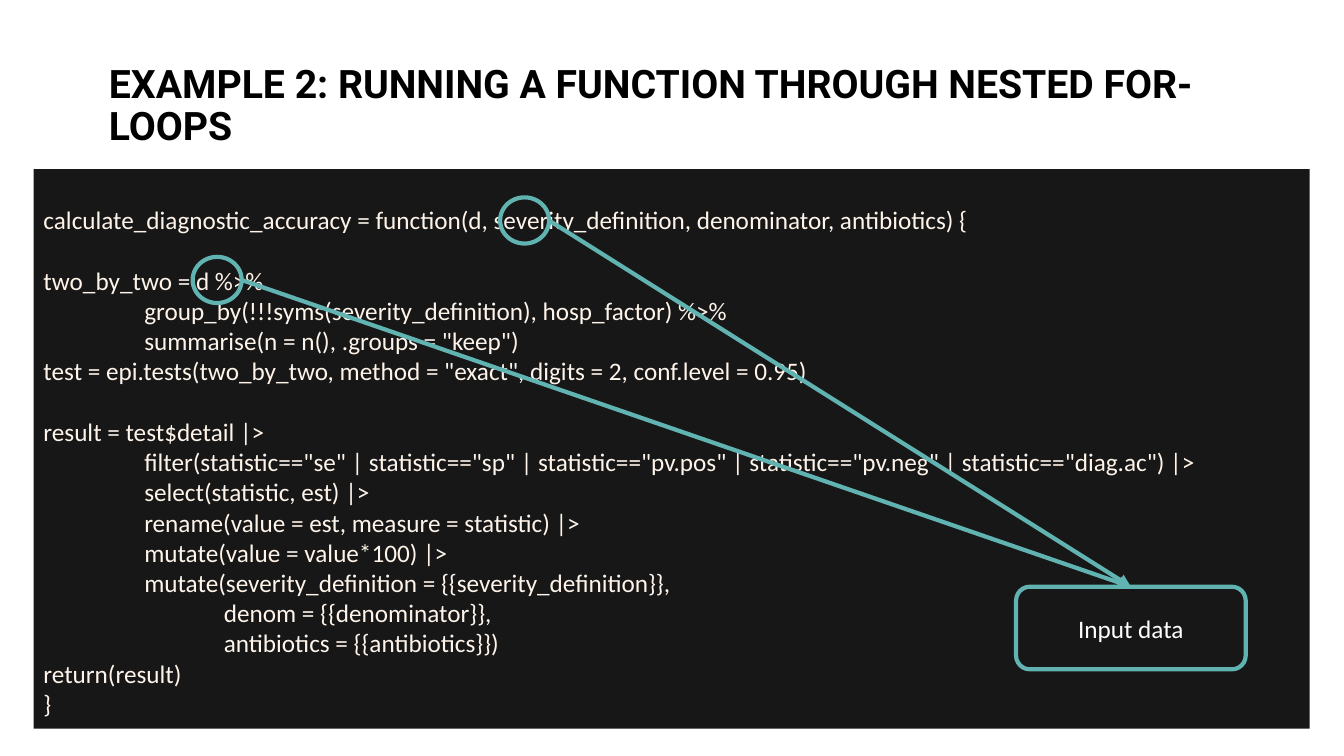
from lxml.etree import SubElement
from pptx import Presentation
from pptx.dml.color import RGBColor
from pptx.enum.shapes import MSO_CONNECTOR, MSO_SHAPE
from pptx.enum.text import MSO_ANCHOR, PP_ALIGN
from pptx.oxml.ns import qn
from pptx.util import Pt

BLACK = RGBColor(0x00, 0x00, 0x00)
WHITE = RGBColor(0xFF, 0xFF, 0xFF)
PANEL = RGBColor(0x18, 0x17, 0x17)
CREAM = RGBColor(0xFE, 0xF4, 0xEA)
TEAL = RGBColor(0x61, 0xB3, 0xB2)

LINE_HEIGHT = 21.6
CODE_INDENT = 72
TITLE = "EXAMPLE 2: RUNNING A FUNCTION THROUGH NESTED FOR-LOOPS"
CODE_BLOCKS = [
    ["calculate_diagnostic_accuracy = function(d, severity_definition, denominator, antibiotics) {"],
    [
        "two_by_two = d %>%",
        "\tgroup_by(!!!syms(severity_definition), hosp_factor) %>%",
        '\tsummarise(n = n(), .groups = "keep")',
        'test = epi.tests(two_by_two, method = "exact", digits = 2, conf.level = 0.95)',
    ],
    [
        "result = test$detail |>",
        '\tfilter(statistic=="se" | statistic=="sp" | statistic=="pv.pos" | statistic=="pv.neg" | statistic=="diag.ac") |>',
        "\tselect(statistic, est) |>",
        "\trename(value = est, measure = statistic) |>",
        "\tmutate(value = value*100) |>",
        "\tmutate(severity_definition = {{severity_definition}},",
        "\t              denom = {{denominator}},",
        "\t              antibiotics = {{antibiotics}})",
        "return(result)",
        "}",
    ],
]


def format_text(paragraph, font_name, size, color, bold=False):
    """Give every run of a paragraph one font."""
    for run in paragraph.runs:
        run.font.name = font_name
        run.font.size = Pt(size)
        run.font.color.rgb = color
        run.font.bold = bold


def add_tab_stop(paragraph, position):
    """Set one left tab stop on a paragraph."""
    tab_list = SubElement(paragraph._p.get_or_add_pPr(), qn("a:tabLst"))
    SubElement(tab_list, qn("a:tab"), pos=str(Pt(position)), algn="l")


def add_title(slide, left, top, width, height):
    """Place the heading in the title placeholder."""
    title = slide.shapes.title
    title.left, title.top, title.width, title.height = map(Pt, (left, top, width, height))
    frame = title.text_frame
    frame.text = TITLE
    frame.word_wrap = True
    frame.vertical_anchor = MSO_ANCHOR.BOTTOM
    heading = frame.paragraphs[0]
    heading.alignment = PP_ALIGN.LEFT
    heading.line_spacing = 0.9
    format_text(heading, "Roboto", 28, BLACK, bold=True)


def add_code(slide, left, top, width, height):
    """Draw the dark panel with the code, one line apart between blocks."""
    panel = slide.shapes.add_shape(MSO_SHAPE.RECTANGLE, *map(Pt, (left, top, width, height)))
    panel.shadow.inherit = False
    panel.fill.solid()
    panel.fill.fore_color.rgb = PANEL
    panel.line.fill.background()
    frame = panel.text_frame
    frame.text = "\n".join(line for block in CODE_BLOCKS for line in block)
    frame.word_wrap = True
    frame.vertical_anchor = MSO_ANCHOR.TOP
    frame.margin_top = Pt(3.6 + LINE_HEIGHT)
    block_starts = {block[0] for block in CODE_BLOCKS[1:]}
    for code_line in frame.paragraphs:
        code_line.alignment = PP_ALIGN.LEFT
        if code_line.text in block_starts:
            code_line.space_before = Pt(LINE_HEIGHT)
        if code_line.text.startswith("\t"):
            add_tab_stop(code_line, CODE_INDENT)
        format_text(code_line, "Calibri", 18, CREAM)


def add_outline(slide, preset, left, top, width, height):
    """Draw an unfilled teal shape."""
    outline = slide.shapes.add_shape(preset, *map(Pt, (left, top, width, height)))
    outline.shadow.inherit = False
    outline.fill.background()
    outline.line.color.rgb = TEAL
    outline.line.width = Pt(3)
    return outline


def add_arrow(slide, ring, target):
    """Draw an arrow from the right of a ring to the top of the target."""
    arrow = slide.shapes.add_connector(
        MSO_CONNECTOR.STRAIGHT,
        ring.left + ring.width,
        ring.top + ring.height // 2,
        target.left + target.width // 2,
        target.top,
    )
    arrow.end_connect(target, 0)
    arrow.line.color.rgb = TEAL
    arrow.line.width = Pt(3)
    SubElement(arrow.line._get_or_add_ln(), qn("a:tailEnd"), type="triangle")
    SubElement(arrow._element.spPr, qn("a:effectLst"))


def add_input_callout(slide, left, top, width, height):
    """Ring the two arguments in the code box and point them to their label."""
    label = add_outline(slide, MSO_SHAPE.ROUNDED_RECTANGLE, left + 701.8, top + 298.3, 164, 59)
    frame = label.text_frame
    frame.text = "Input data"
    frame.vertical_anchor = MSO_ANCHOR.MIDDLE
    frame.paragraphs[0].alignment = PP_ALIGN.CENTER
    format_text(frame.paragraphs[0], "Calibri", 18, WHITE)
    for ring_left, ring_top in ((333.2, 20.2), (113.6, 62.7)):
        ring = add_outline(slide, MSO_SHAPE.OVAL, left + ring_left, top + ring_top, 35, 33)
        add_arrow(slide, ring, label)


def main():
    """Build the slide and save it."""
    deck = Presentation()
    deck.slide_width, deck.slide_height = Pt(960), Pt(540)
    slide = deck.slides.add_slide(deck.slide_layouts[5])
    code_box = (24, 120.8, 911.5, 399.6)
    add_title(slide, 70.6, 5.8, 819.4, 104.4)
    add_code(slide, *code_box)
    add_input_callout(slide, *code_box)
    deck.save("out.pptx")


if __name__ == "__main__":
    main()
